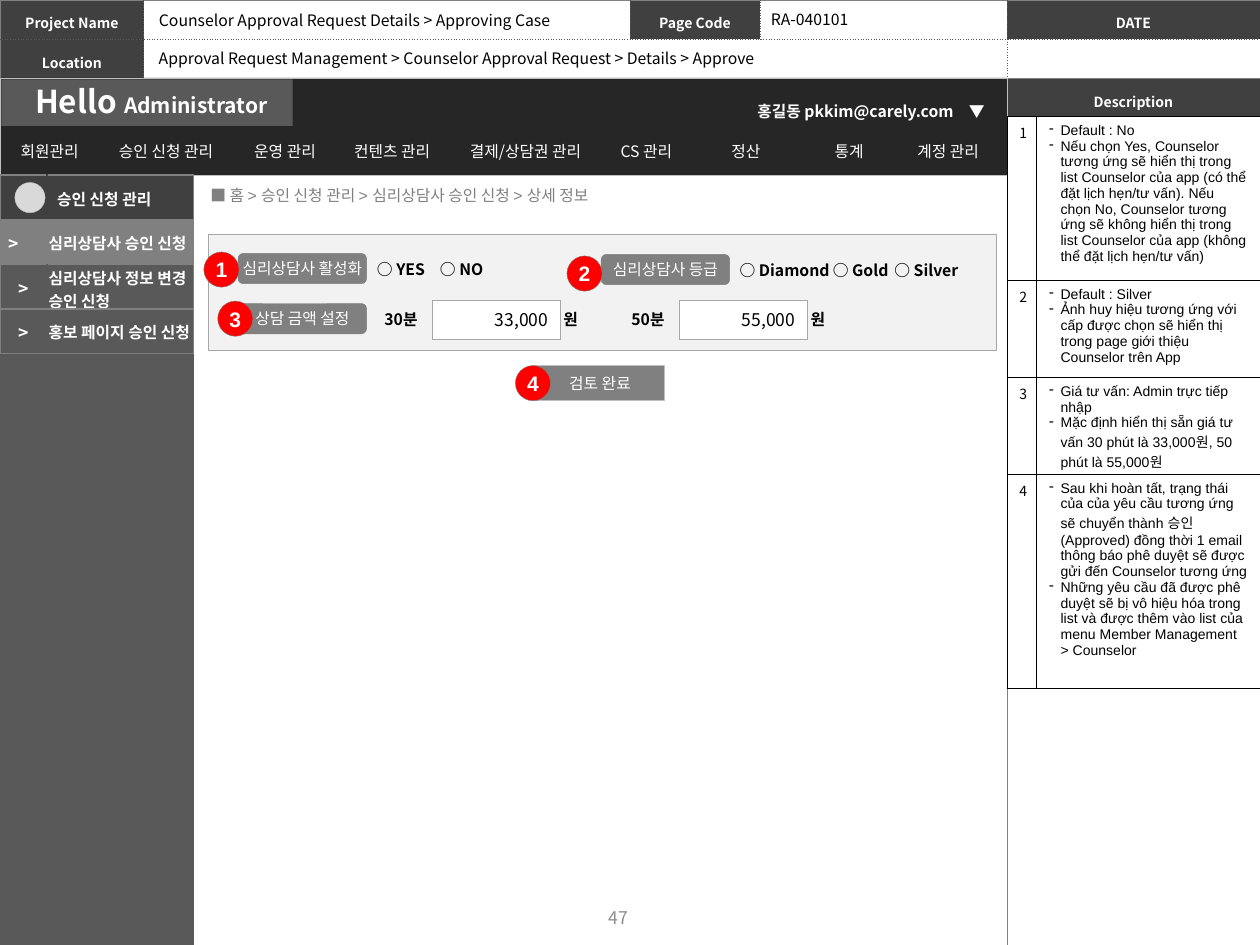
import pptx
import pptx.util
import pptx.dml.color
import pptx.enum.dml
import pptx.enum.shapes
import pptx.enum.text
import pptx.oxml.ns
from lxml import etree

Cm, Pt = pptx.util.Cm, pptx.util.Pt
ALIGN = pptx.enum.text.PP_ALIGN
ANCHOR = pptx.enum.text.MSO_ANCHOR
SHAPE = pptx.enum.shapes.MSO_SHAPE
KOREAN = "Noto Sans CJK KR"
COLORS = {
    "white": "FFFFFF", "black": "000000", "bar": "262626", "dark": "404040",
    "slate": "595959", "gray": "808080", "number": "8C8C8C", "edge": "A6A6A6",
    "light": "BFBFBF", "avatar": "D9D9D9", "panel": "F2F2F2", "red": "FF0000",
}

# Content; all lengths in centimetres
TITLE = "Counselor Approval Request Details > Approving Case"
LOCATION = "Approval Request Management > Counselor Approval Request > Details > Approve"
HEADER = [["Project Name", "", "Page Code", "", "DATE"], ["Location", "", "", "", ""]]
HEADER_COLUMNS = [2.9, 9.8, 2.62, 4.98, 5.1]
MENU = [("회원관리", 1.9), ("승인 신청 관리", 2.79), ("운영 관리", 2.01),
        ("컨텐츠 관리", 2.31), ("결제/상담권 관리", 3.07), ("CS 관리", 1.8),
        ("정산", 2.21), ("통계", 1.96), ("계정 관리", 2.03)]
SIDEBAR = [("", "승인 신청 관리", "dark"), (">", "심리상담사 승인 신청", "gray"),
           (">", "심리상담사 정보 변경 승인 신청", "slate"), (">", "홍보 페이지 승인 신청", "slate")]
PILLS = [("상담 금액 설정", 4.8, 6.12), ("심리상담사 활성화", 4.8, 5.11),
         ("심리상담사 등급", 12.12, 5.13)]
OPTIONS = [("○ YES\t○ NO", 7.19, 5.11, 3.1, [1.27]),
           ("○ Diamond\t○ Gold\t○ Silver", 14.5, 5.13, 5.31, [1.88, 3.12])]
AMOUNTS = [("30분", "33,000", 8.71), ("50분", "55,000", 13.69)]
BADGES = [("1", 4.11, 5.08), ("2", 11.43, 5.16), ("3", 4.39, 6.07), ("4", 10.39, 7.37)]
DESCRIPTIONS = [
    (3.28, ["Default : No",
            "Nếu chọn Yes, Counselor tương ứng sẽ hiển thị trong list Counselor của app "
            "(có thể đặt lịch hẹn/tư vấn). Nếu chọn No, Counselor tương ứng sẽ không hiển "
            "thị trong list Counselor của app (không thể đặt lịch hẹn/tư vấn)"]),
    (1.96, ["Default : Silver",
            "Ảnh huy hiệu tương ứng với cấp được chọn sẽ hiển thị trong page giới thiệu "
            "Counselor trên App"]),
    (1.93, ["Giá tư vấn: Admin trực tiếp nhập",
            "Mặc định hiển thị sẵn giá tư vấn 30 phút là 33,000원, 50 phút là 55,000원"]),
    (4.32, ["Sau khi hoàn tất, trạng thái của của yêu cầu tương ứng sẽ chuyển thành 승인 "
            "(Approved) đồng thời 1 email thông báo phê duyệt sẽ được gửi đến Counselor "
            "tương ứng",
            "Những yêu cầu đã được phê duyệt sẽ bị vô hiệu hóa trong list và được thêm vào "
            "list của menu Member Management > Counselor"]),
]

deck = pptx.Presentation()
deck.slide_width, deck.slide_height = Cm(25.4), Cm(19.05)
page = deck.slides.add_slide(deck.slide_layouts[5])


def color(name):
    return pptx.dml.color.RGBColor.from_string(COLORS[name])


def add_xml(parent, tag, **attributes):
    return etree.SubElement(parent, pptx.oxml.ns.qn(tag), attributes)


def write_text(frame, content, size=9, ink="white", bold=False, font=KOREAN,
               align=ALIGN.LEFT, spacing=None, bullet=None, tabs=()):
    """Content is a string, or a list of paragraphs: strings or lists of (text, size)."""
    for index, item in enumerate([content] if isinstance(content, str) else content):
        para = frame.add_paragraph() if index else frame.paragraphs[0]
        para.alignment = align
        if spacing:
            para.line_spacing = spacing
        properties = para._p.get_or_add_pPr()
        if bullet:
            properties.set("marL", str(Cm(0.23)))
            properties.set("indent", str(-Cm(0.23)))
            add_xml(properties, "a:buChar", char=bullet)
        if tabs:
            stops = add_xml(properties, "a:tabLst")
            for stop in tabs:
                add_xml(stops, "a:tab", pos=str(Cm(stop)), algn="l")
        if not item:
            add_xml(para._p, "a:endParaRPr", sz=str(size * 100))
            continue
        for text, span_size in [(item, size)] if isinstance(item, str) else item:
            span = para.add_run()
            span.text = text
            span.font.size, span.font.bold = Pt(span_size), bold
            span.font.name, span.font.color.rgb = font, color(ink)
            add_xml(span._r.get_or_add_rPr(), "a:ea", typeface=KOREAN)


def add_box(kind, left, top, width, height, fill, line=None, text="", **style):
    box = page.shapes.add_shape(kind, Cm(left), Cm(top), Cm(width), Cm(height))
    box.shadow.inherit = False
    box.fill.solid()
    box.fill.fore_color.rgb = color(fill)
    if line:
        box.line.color.rgb, box.line.width = color(line), Pt(0.25)
    else:
        box.line.fill.background()
    if text:
        box.text_frame.word_wrap = False
        box.text_frame.vertical_anchor = ANCHOR.MIDDLE
        write_text(box.text_frame, text, **{"align": ALIGN.CENTER, **style})


def add_label(text, left, top, width, height, wrap=False, anchor=ANCHOR.TOP,
              inset=0.25, **style):
    frame = page.shapes.add_textbox(Cm(left), Cm(top), Cm(width), Cm(height)).text_frame
    frame.word_wrap, frame.vertical_anchor = wrap, anchor
    frame.margin_left = Cm(inset)
    if not wrap:
        frame.auto_size = pptx.enum.text.MSO_AUTO_SIZE.SHAPE_TO_FIT_TEXT
    write_text(frame, text, **style)


def add_border(cell, side, name, width, dash):
    line = add_xml(cell._tc.get_or_add_tcPr(), "a:ln" + side, w=str(Pt(width)))
    add_xml(add_xml(line, "a:solidFill"), "a:srgbClr", val=COLORS[name])
    add_xml(line, "a:prstDash", val=dash)


def format_cell(cell, text="", fill=None, insets=(0.25, 0.13, 0.25, 0.13),
                anchor=ANCHOR.MIDDLE, **style):
    if fill:
        cell.fill.solid()
        cell.fill.fore_color.rgb = color(fill)
    else:
        cell.fill.background()
    (cell.margin_left, cell.margin_top,
     cell.margin_right, cell.margin_bottom) = map(Cm, insets)
    cell.vertical_anchor = anchor
    write_text(cell.text_frame, text, **style)


def add_table(left, top, columns, heights, rows, outer, inner, merge=None):
    """Rows hold format_cell keywords; outer and inner are (colour, points, dash).
    A cell's "divider" colours its inner vertical edges."""
    table = page.shapes.add_table(len(heights), len(columns), Cm(left), Cm(top),
                                  Cm(sum(columns)), Cm(sum(heights))).table
    table.first_row = table.horz_banding = False
    for column, width in zip(table.columns, columns):
        column.width = Cm(width)
    for row, height in zip(table.rows, heights):
        row.height = Cm(height)
    for r, row in enumerate(rows):
        for c, settings in enumerate(row):
            cell, settings = table.cell(r, c), dict(settings)
            divider = (settings.pop("divider", inner[0]), *inner[1:])
            add_border(cell, "L", *(divider if c else outer))
            add_border(cell, "R", *(divider if c < len(columns) - 1 else outer))
            add_border(cell, "T", *(inner if r else outer))
            add_border(cell, "B", *(inner if r < len(rows) - 1 else outer))
            format_cell(cell, **settings)
    if merge:
        table.cell(*merge[0]).merge(table.cell(*merge[1]))


def heading(text):
    return dict(text=text, fill="dark" if text else None, size=8, bold=True, spacing=1.3,
                align=ALIGN.CENTER, insets=(0.1, 0.1, 0.1, 0.1))


# Page header
solid, dotted = ("gray", 0.5, "solid"), ("slate", 0.5, "sysDot")
add_table(0, 0, HEADER_COLUMNS, [0.79, 0.79], [[heading(t) for t in row] for row in HEADER],
          solid, dotted, merge=((1, 1), (1, 3)))
add_table(20.3, 1.58, [5.1], [0.79, 16.68], [[heading("Description")], [heading("")]],
          solid, dotted)
title = page.shapes.title
title.left, title.top, title.width, title.height = Cm(2.95), Cm(0.08), Cm(8.61), Cm(0.64)
title.text_frame.vertical_anchor = ANCHOR.TOP
title.text_frame.auto_size = pptx.enum.text.MSO_AUTO_SIZE.NONE
write_text(title.text_frame, TITLE, ink="black")
add_label(LOCATION, 2.95, 0.86, 12.83, 0.64, ink="black")
add_label("RA-040101", 15.29, 0.08, 2.11, 0.64, ink="black")

# Administrator bar and menu
add_box(SHAPE.RECTANGLE, 0, 1.57, 20.3, 1.96, "bar", "light")
add_box(SHAPE.RECTANGLE, 0.03, 1.6, 5.87, 0.94, "slate")
add_label([[("Hello ", 18), ("Administrator", 12)]], 0.46, 1.52, 5.31, 1.02, bold=True)
menu_line = ("bar", 1, "solid")
add_table(0.05, 2.64, [width for _, width in MENU], [0.79],
          [[dict(text=text, align=ALIGN.CENTER) for text, _ in MENU]], menu_line, menu_line)
add_label("홍길동 pkkim@carely.com", 14.78, 1.85, 4.93, 0.66, wrap=True, bold=True,
          align=ALIGN.CENTER, spacing=1.2)
add_label("▼", 19.28, 1.85, 0.84, 0.66, bold=True, spacing=1.2)
add_label("■ 홈 > 승인 신청 관리 > 심리상담사 승인 신청 > 상세 정보", 3.71, 3.51, 15.8, 0.86,
          wrap=True, anchor=ANCHOR.MIDDLE, inset=0.53, font="Arial", ink="gray")

# Sidebar
add_box(SHAPE.RECTANGLE, 0, 3.51, 3.91, 15.54, "slate")
sidebar_rows = []
for mark, text, fill in SIDEBAR:
    shared = dict(fill=fill, divider=fill, bold=True)
    mark_right = 0.45 if fill == "gray" else 0.03
    text_left = 0.03 if mark else 0.2
    sidebar_rows.append([
        dict(text=mark, size=10, align=ALIGN.CENTER, insets=(0.03, 0.03, mark_right, 0), **shared),
        dict(text=text, insets=(text_left, 0.03, 0.03, 0), **shared)])
sidebar_line = ("gray", 1, "solid")
add_table(0, 3.53, [0.95, 2.95], [0.9] * 4, sidebar_rows, sidebar_line, sidebar_line)
add_box(SHAPE.OVAL, 0.3, 3.68, 0.61, 0.61, "avatar", "light")

# Approval form
add_box(SHAPE.RECTANGLE, 4.19, 4.72, 15.9, 2.34, "panel", "edge")
add_box(SHAPE.RECTANGLE, 10.8, 7.37, 2.59, 0.71, "gray", "light", "검토 완료")
for text, left, top in PILLS:
    add_box(SHAPE.ROUNDED_RECTANGLE, left, top, 2.59, 0.61, "gray", "gray", text)
for text, left, top, width, tabs in OPTIONS:
    add_label(text, left, top, width, 0.64, wrap=True, inset=0.41, ink="black",
              bold=True, tabs=tabs)
for duration, amount, left in AMOUNTS:
    add_box(SHAPE.RECTANGLE, left, 6.05, 2.59, 0.79, "white", "edge", amount,
            size=10, ink="black", align=ALIGN.RIGHT)
    add_label(duration, left - 1.21, 6.12, 1.32, 0.64, ink="black", bold=True)
    add_label("원", left + 2.4, 6.12, 0.84, 0.64, ink="black", bold=True)
for text, left, top in BADGES:
    add_box(SHAPE.OVAL, left, top, 0.71, 0.71, "red", "gray", text,
            size=12, font="Arial", bold=True)

# Descriptions and page number
note = dict(fill="white", ink="black", size=8, anchor=ANCHOR.TOP)
note_line = ("black", 0.5, "solid")
add_table(20.3, 2.34, [0.6, 4.5], [height for height, _ in DESCRIPTIONS],
          [[dict(text=str(number), **note), dict(text=lines, font="Arial", bullet="-", **note)]
           for number, (_, lines) in enumerate(DESCRIPTIONS, 1)], note_line, note_line)
add_label("47", 9.5, 17.98, 5.92, 1.02, wrap=True, anchor=ANCHOR.MIDDLE, size=10,
          ink="number", align=ALIGN.CENTER)

deck.save("out.pptx")
